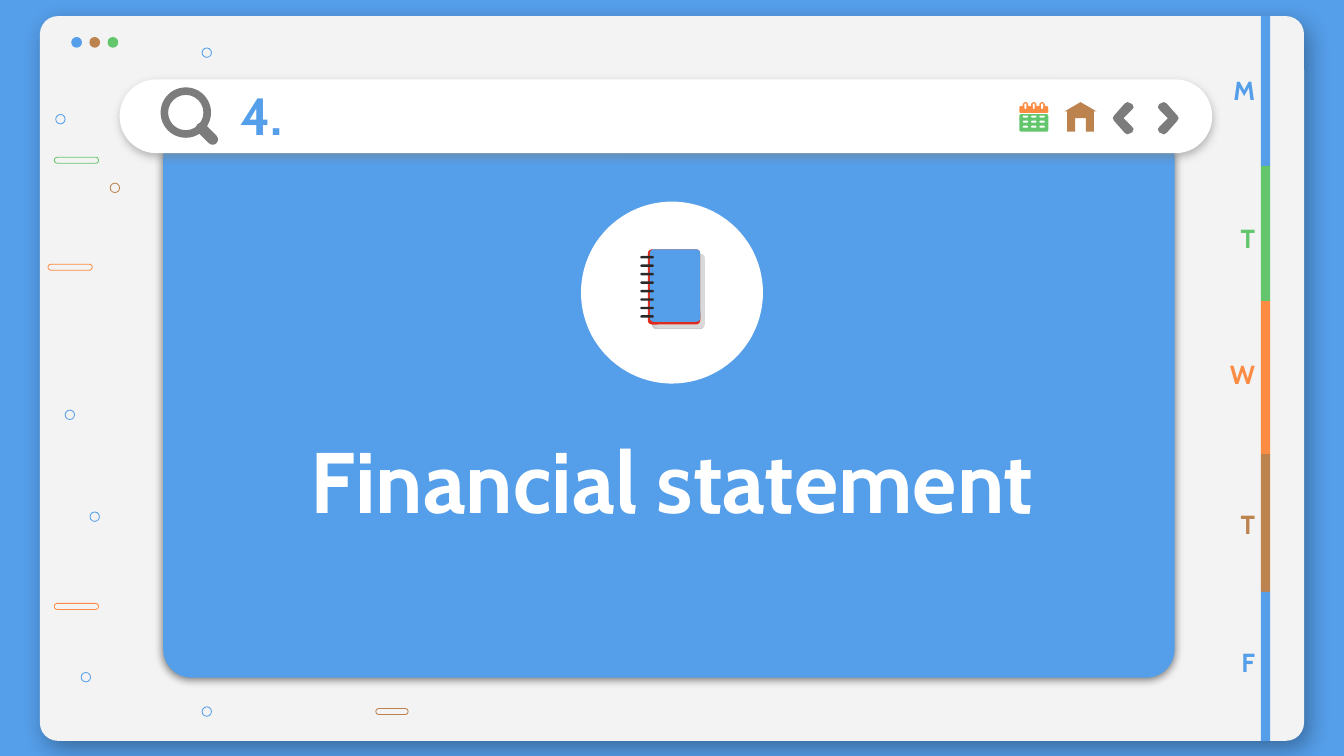
from dataclasses import dataclass
from typing import NamedTuple, Optional

from lxml.etree import SubElement
from pptx import Presentation
from pptx.dml.color import RGBColor
from pptx.enum.shapes import MSO_SHAPE as Kind
from pptx.enum.text import MSO_ANCHOR as Anchor, MSO_AUTO_SIZE as AutoSize, PP_ALIGN as Align
from pptx.oxml.ns import qn
from pptx.util import Inches, Pt

# One grid cell is a hundredth of the slide width; all boxes count cells.
CELL = Inches(0.1)
COLUMNS, ROWS = 100, 56.25

BLUE = RGBColor(0x55, 0x9E, 0xE9)
GREEN = RGBColor(0x63, 0xC6, 0x6C)
ORANGE = RGBColor(0xFC, 0x8B, 0x43)
BROWN = RGBColor(0xBC, 0x83, 0x4F)
GREY = RGBColor(0x7C, 0x7C, 0x7C)
PAPER = RGBColor(0xF3, 0xF3, 0xF3)
WHITE = RGBColor(0xFF, 0xFF, 0xFF)
BLACK = RGBColor(0, 0, 0)
INK = RGBColor(0x28, 0x28, 0x28)
PAGE = RGBColor(0xD9, 0xD9, 0xD9)
PAGE_EDGE = RGBColor(0xCC, 0xCC, 0xCC)
RED = RGBColor(0xDF, 0x2C, 0x1D)


class Box(NamedTuple):
    column: float
    row: float
    columns: float
    rows: float

    def lengths(self) -> list:
        return [round(value * CELL) for value in self]


class Shadow(NamedTuple):
    color: RGBColor
    alpha: int
    blur: float
    distance: float
    angle: int


@dataclass
class Part:
    kind: Kind
    box: Box
    color: RGBColor
    adjustment: Optional[float] = None
    rotation: float = 0
    outlined: bool = False
    shadow: Optional[Shadow] = None


class Tab(NamedTuple):
    letter: str
    color: RGBColor
    start: float
    label_row: float


def paint(shape, color: RGBColor, outlined: bool = False) -> None:
    shape.shadow.inherit = False
    if outlined:
        shape.fill.background()
        shape.line.color.rgb = color
        shape.line.width = Pt(0.44)
    else:
        shape.fill.solid()
        shape.fill.fore_color.rgb = color
        shape.line.fill.background()


def cast_shadow(shape, shadow: Shadow) -> None:
    effects = shape.element.spPr.find(qn("a:effectLst"))
    outer = SubElement(effects, qn("a:outerShdw"), blurRad=str(Pt(shadow.blur)),
                       dist=str(Pt(shadow.distance)), dir=str(shadow.angle * 60000),
                       algn="bl", rotWithShape="0")
    color = SubElement(outer, qn("a:srgbClr"), val=str(shadow.color))
    SubElement(color, qn("a:alpha"), val=str(shadow.alpha * 1000))


def draw_part(slide, part: Part):
    shape = slide.shapes.add_shape(part.kind, *part.box.lengths())
    if part.adjustment is not None:
        shape.adjustments[0] = part.adjustment
    shape.rotation = part.rotation
    paint(shape, part.color, part.outlined)
    if part.shadow:
        cast_shadow(shape, part.shadow)
    return shape


def draw_outline(slide, points: list, color: RGBColor) -> None:
    corners = [(round(x * CELL), round(y * CELL)) for x, y in points]
    builder = slide.shapes.build_freeform(*corners[0], scale=1)
    builder.add_line_segments(corners[1:], close=True)
    paint(builder.convert_to_shape(), color)


def write(shape, text: str, size: float, color: RGBColor, align: Align) -> None:
    frame = shape.text_frame
    frame.text = text
    margins = {f"margin_{side}": CELL for side in ("left", "right", "top", "bottom")}
    formats = {"word_wrap": True, "auto_size": AutoSize.NONE,
               "vertical_anchor": Anchor.MIDDLE, **margins}
    for name, value in formats.items():
        setattr(frame, name, value)
    paragraph = frame.paragraphs[0]
    paragraph.alignment = align
    font = paragraph.runs[0].font
    for name, value in {"name": "Cabin", "size": Pt(size), "bold": True}.items():
        setattr(font, name, value)
    font.color.rgb = color


def pill(column: float, row: float, columns: float, rows: float, color: RGBColor,
         **options) -> Part:
    return Part(Kind.ROUNDED_RECTANGLE, Box(column, row, columns, rows), color, 0.5, **options)


def dot(column: float, row: float, size: float, color: RGBColor, **options) -> Part:
    return Part(Kind.OVAL, Box(column, row, size, size), color, **options)


WINDOW = Part(Kind.ROUNDED_RECTANGLE, Box(2.97, 1.2, 94.06, 53.93), PAPER, 0.025,
              shadow=Shadow(BLACK, 32, 12.4, 5.2, 57))
PANEL = Part(Kind.ROUNDED_RECTANGLE, Box(12.15, 9.6, 75.25, 40.83), BLUE, 0.052,
             shadow=Shadow(BLACK, 50, 4.5, 1.5, 90))
SEARCH_BAR = pill(8.9, 5.9, 81.3, 5.5, WHITE, shadow=Shadow(GREY, 50, 4.5, 1.5, 90))

WINDOW_BUTTONS = [dot(5.3 + 1.35 * i, 2.75, 0.8, color)
                  for i, color in enumerate((BLUE, BROWN, GREEN))]
RINGS = [dot(column, row, 0.7, color, outlined=True) for column, row, color in (
    (6.7, 38.1, BLUE), (8.2, 13.63, BROWN), (4.15, 8.52, BLUE), (6.04, 50.04, BLUE),
    (4.85, 30.52, BLUE), (15.04, 3.57, BLUE), (15.04, 52.6, BLUE))]
DASHES = [pill(column, row, width, 0.45, color, outlined=True) for column, row, width, color in (
    (27.97, 52.72, 2.4, BROWN), (3.57, 19.66, 3.3, ORANGE),
    (4.04, 44.9, 3.3, ORANGE), (4.04, 11.7, 3.3, GREEN))]

MAGNIFIER = [Part(Kind.DONUT, Box(11.95, 6.5, 3.75, 3.75), GREY, 0.15),
             pill(14.4, 9.55, 2, 0.8, GREY, rotation=45)]

CALENDAR_COLUMNS = [76.1 + 0.62 * i for i in range(3)]
CALENDAR = [
    Part(Kind.ROUNDED_RECTANGLE, Box(75.85, 8.5, 2.15, 1.3), GREEN, 0.1),
    Part(Kind.ROUNDED_RECTANGLE, Box(75.85, 7.9, 2.15, 0.5), ORANGE, 0.2),
    *[pill(column, 8.6 + 0.38 * row, 0.4, 0.15, WHITE)
      for row in range(3) for column in CALENDAR_COLUMNS],
    *[pill(column, 7.6, 0.4, 0.6, ORANGE) for column in CALENDAR_COLUMNS],
    *[pill(column + 0.13, 7.7, 0.14, 0.4, WHITE) for column in CALENDAR_COLUMNS],
]
HOUSE = [(80.4, 7.6), (81.6, 8.3), (81.4, 8.3), (81.4, 9.8), (80.8, 9.8), (80.8, 8.8),
         (80, 8.8), (80, 9.8), (79.4, 9.8), (79.4, 8.3), (79.2, 8.3)]
NEXT_ARROW = [(86.6, 7.6), (86.25, 7.75), (86.15, 8), (86.3, 8.2), (86.9, 8.8),
              (86.3, 9.4), (86.15, 9.6), (86.25, 9.85), (86.6, 10), (86.8, 9.9),
              (87.6, 9), (87.7, 8.8), (87.6, 8.6), (86.8, 7.7)]
BACK_ARROW = [(170.5 - x, y) for x, y in NEXT_ARROW]

NOTEBOOK = [
    *[Part(Kind.ROUNDED_RECTANGLE, box, color, 0.08) for box, color in (
        (Box(48.5, 18.9, 3.9, 5.6), PAGE_EDGE), (Box(48.7, 18.9, 3.75, 5.5), PAGE),
        (Box(48.2, 18.55, 3.9, 5.6), RED), (Box(48.35, 18.55, 3.75, 5.4), BLUE))],
    *[pill(47.65, 19.05 + 0.63 * i, 1, 0.18, INK) for i in range(8)],
]

TABS = [Tab("M", BLUE, 1.2, 5.15), Tab("T", GREEN, 12.35, 16.15),
        Tab("W", ORANGE, 22.4, 26.25), Tab("T", BROWN, 33.8, 37.45),
        Tab("F", BLUE, 44.05, 47.7)]
TABS_END = 55.13


def main() -> None:
    presentation = Presentation()
    presentation.slide_width = round(COLUMNS * CELL)
    presentation.slide_height = round(ROWS * CELL)
    slide = presentation.slides.add_slide(presentation.slide_layouts[5])
    slide.background.fill.solid()
    slide.background.fill.fore_color.rgb = BLUE

    # Window, decorations and panel
    for part in [WINDOW, *WINDOW_BUTTONS, *RINGS, *DASHES, PANEL]:
        draw_part(slide, part)

    # Search bar with the section number as title
    bar = draw_part(slide, SEARCH_BAR)
    title = slide.shapes.title
    bar.element.addnext(title.element)
    title.left, title.top, title.width, title.height = Box(16.9, 5.9, 70.9, 5.2).lengths()
    write(title, "4.", 28, BLUE, Align.LEFT)
    for part in MAGNIFIER + CALENDAR:
        draw_part(slide, part)
    for points, color in ((HOUSE, BROWN), (NEXT_ARROW, GREY), (BACK_ARROW, GREY)):
        draw_outline(slide, points, color)

    # Notebook badge and section name
    for part in [dot(43.23, 15, 13.54, WHITE), *NOTEBOOK]:
        draw_part(slide, part)
    section = slide.shapes.add_textbox(*Box(17.7, 30.5, 64.6, 10.3).lengths())
    write(section, "Financial statement", 46, WHITE, Align.CENTER)

    # Weekday tabs, each reaching down to the next
    ends = [tab.start for tab in TABS[1:]] + [TABS_END]
    for tab, end in zip(TABS, ends):
        band = Box(93.82, tab.start, 0.7, end - tab.start)
        draw_part(slide, Part(Kind.RECTANGLE, band, tab.color))
        label = slide.shapes.add_textbox(*Box(89.57, tab.label_row, 4.8, 3.1).lengths())
        write(label, tab.letter, 14, tab.color, Align.RIGHT)

    presentation.save("out.pptx")


if __name__ == "__main__":
    main()
